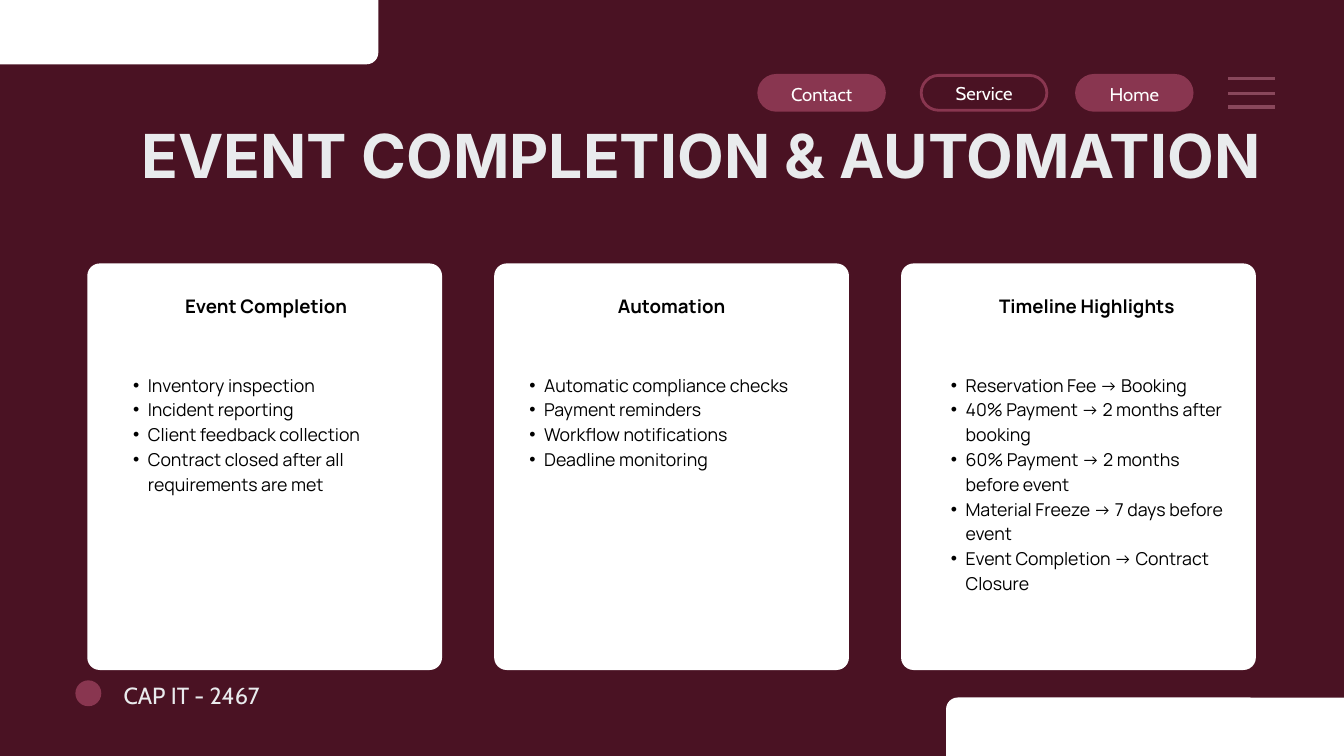
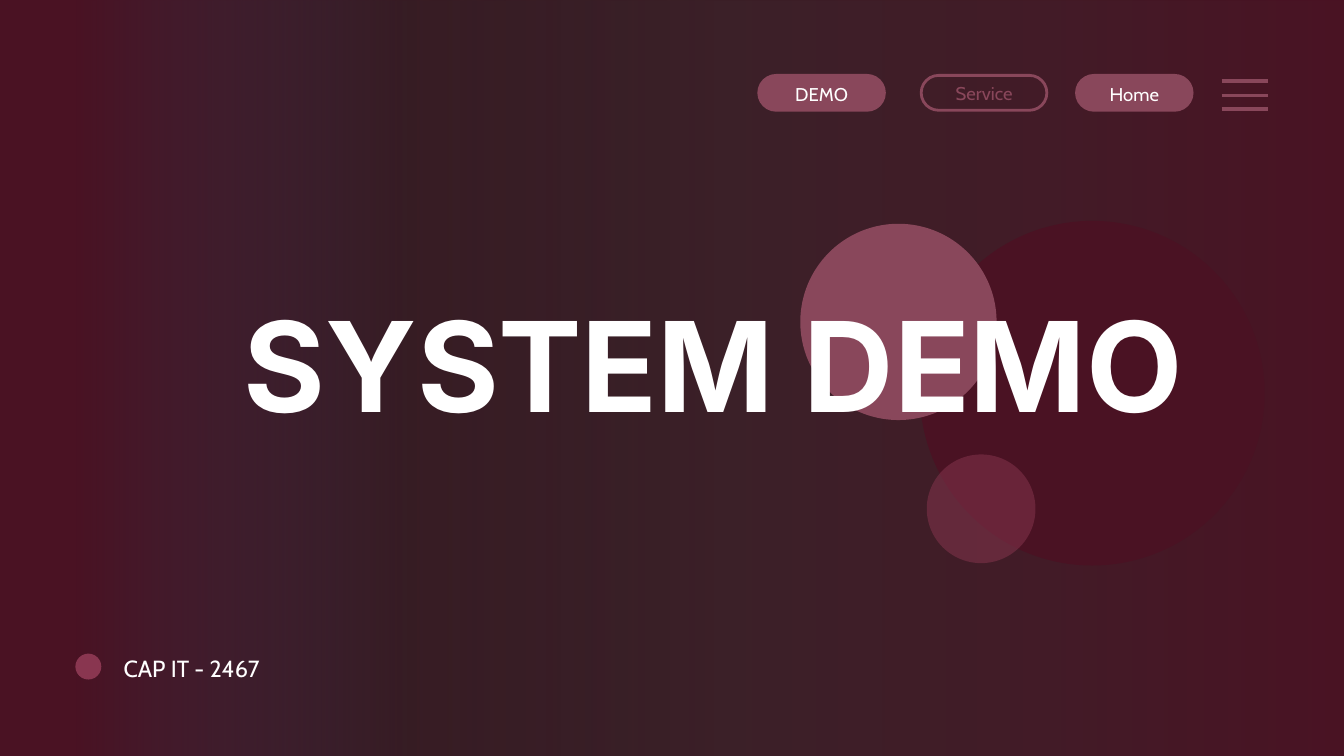
"""Build the event completion and system demo slides."""
import dataclasses

import lxml.etree
import pptx
import pptx.dml.color
import pptx.enum.shapes
import pptx.enum.text
import pptx.oxml
import pptx.oxml.ns
import pptx.util

Cm = pptx.util.Cm
SHAPES = pptx.enum.shapes.MSO_SHAPE
ALIGN = pptx.enum.text.PP_ALIGN
qn = pptx.oxml.ns.qn


@dataclasses.dataclass(frozen=True)
class Theme:
    wine: str = "4A1223"
    berry: str = "893650"
    rose: str = "89475B"
    white: str = "FFFFFF"
    mist: str = "E9EBED"
    black: str = "000000"
    gradient: tuple = ((0, "283E51", 0), (25, "321F25", 78), (50, "3B2028", 100),
                       (75, "421B27", 100), (100, "4A1223", 100))
    title_font: str = "Inter"
    body_font: str = "Manrope"
    nav_font: str = "Cabin"
    title_size: float = 65
    hero_size: float = 134.1
    footer_size: float = 25
    heading_size: float = 20
    nav_size: float = 19.8
    bullet_size: float = 19


NAV_PILLS = ((40.69, 4.37, 0.28, 3.0), (34.82, 4.75, 0.26, 2.95), (28.68, 4.75, 0.4, 3.0))
BAR_OFFSETS = (0, 0.56, 1.07)
CARD_LEFT, CARD_STEP = 3.3, 15.38
CARDS = (
    ("Event Completion", (5.69, 8.74), (4.45, 11.23, 5.59),
     "Inventory inspection\nIncident reporting\nClient feedback collection\n"
     "Contract closed after all requirements are met"),
    ("Automation", (19.63, 11.51), (19.43, 11.94, 4.65),
     "Automatic compliance checks\nPayment reminders\nWorkflow notifications\n"
     "Deadline monitoring"),
    ("Timeline Highlights", (35.76, 10.64), (35.36, 11.23, 9.3),
     "Reservation Fee → Booking\n40% Payment → 2 months after booking\n"
     "60% Payment → 2 months before event\nMaterial Freeze → 7 days before event\n"
     "Event Completion → Contract Closure"),
)


def rgb(color):
    return pptx.dml.color.RGBColor.from_string(color)


def add_child(parent, tag, **attributes):
    return lxml.etree.SubElement(parent, qn(tag), attributes)


def set_bullet(paragraph):
    paragraph.level = 1
    properties = paragraph._p.get_or_add_pPr()
    properties.set("marL", str(Cm(1.14)))
    properties.set("indent", str(Cm(-0.56)))
    add_child(properties, "a:buFont", typeface="Arial")
    add_child(properties, "a:buChar", char="•")


def write_text(frame, text, font, size, color, spacing, bold=False,
               align=ALIGN.LEFT, bullets=False):
    for index, line in enumerate(text.split("\n")):
        paragraph = frame.paragraphs[0] if index == 0 else frame.add_paragraph()
        if bullets:
            set_bullet(paragraph)
        paragraph.alignment = align
        paragraph.line_spacing = pptx.util.Pt(spacing)
        run = paragraph.add_run()
        run.text = line
        run.font.name = font
        run.font.size = pptx.util.Pt(size)
        run.font.bold = bold
        run.font.color.rgb = rgb(color)


class Deck:
    """Hold the theme and the current slide, and draw each kind of element."""

    def __init__(self, theme):
        self.theme = theme
        self.presentation = pptx.Presentation()
        self.presentation.slide_width = Cm(50.8)
        self.presentation.slide_height = Cm(28.58)
        self.slide = None

    def new_slide(self):
        self.slide = self.presentation.slides.add_slide(self.presentation.slide_layouts[6])
        background = self.slide.background.fill
        background.solid()
        background.fore_color.rgb = rgb(self.theme.wine)

    def shape(self, kind, box, fill=None, line=None, radius=None, opacity=100):
        shape = self.slide.shapes.add_shape(kind, *map(Cm, box))
        shape.shadow.inherit = False
        if radius is not None:
            shape.adjustments[0] = radius / min(box[2:])
        if fill:
            shape.fill.solid()
            shape.fill.fore_color.rgb = rgb(fill)
            if opacity < 100:
                color = shape.fill._xPr.find(qn("a:solidFill"))[0]
                add_child(color, "a:alpha", val=str(opacity * 1000))
        else:
            shape.fill.background()
        if line:
            shape.line.color.rgb = rgb(line)
            shape.line.width = pptx.util.Pt(3)
        else:
            shape.line.fill.background()
        return shape

    def panel(self, box, radius, fill=None, line=None):
        self.shape(SHAPES.ROUNDED_RECTANGLE, box, fill, line, radius)

    def circle(self, left, top, diameter, fill, opacity=100):
        self.shape(SHAPES.OVAL, (left, top, diameter, diameter), fill, opacity=opacity)

    def gradient(self, box):
        shape = self.shape(SHAPES.RECTANGLE, box)
        shape.fill.gradient()
        shape.fill.gradient_angle = 0
        stops = shape.fill._xPr.find(qn("a:gradFill")).find(qn("a:gsLst"))
        for stop in list(stops):
            stops.remove(stop)
        for position, color, opacity in self.theme.gradient:
            stop = add_child(stops, "a:gs", pos=str(position * 1000))
            tint = add_child(stop, "a:srgbClr", val=color)
            if opacity < 100:
                add_child(tint, "a:alpha", val=str(opacity * 1000))

    def text(self, text, box, **style):
        frame = self.slide.shapes.add_textbox(*map(Cm, box)).text_frame
        frame.margin_left = frame.margin_right = frame.margin_top = frame.margin_bottom = 0
        frame.word_wrap = True
        frame.auto_size = pptx.enum.text.MSO_AUTO_SIZE.SHAPE_TO_FIT_TEXT
        write_text(frame, text, **style)

    def bar(self, left, top, width):
        connector = self.slide.shapes.add_connector(
            pptx.enum.shapes.MSO_CONNECTOR.STRAIGHT,
            Cm(left), Cm(top), Cm(left + width), Cm(top))
        connector.line.color.rgb = rgb(self.theme.rose)
        connector.line.width = pptx.util.Pt(4)
        add_child(connector._element.spPr, "a:effectLst")

    def navigation(self, labels, active, color, active_color, menu):
        for label, (left, width, inset, text_top) in zip(labels, NAV_PILLS):
            is_active = label == active
            self.panel((left, 2.85, width, 1.32), 0.66, None if is_active else color, color)
            self.text(label, (left + inset, text_top, width - 2 * inset, 0.94),
                      font=self.theme.nav_font, size=self.theme.nav_size, spacing=27.8,
                      color=active_color if is_active else self.theme.white,
                      align=ALIGN.CENTER)
        left, top = menu
        for offset in BAR_OFFSETS:
            self.bar(left, top + offset, 1.76)

    def footer(self, top, color):
        self.circle(2.85, top + 0.14, 0.98, self.theme.berry)
        self.text("CAP IT - 2467", (4.67, top, 13.11, 1.17), font=self.theme.nav_font,
                  size=self.theme.footer_size, color=color, spacing=35)

    def title(self, text, box, size, color, spacing, align):
        self.text(text, box, font=self.theme.title_font, size=size, color=color,
                  spacing=spacing, align=align, bold=True)

    def card(self, index, heading, heading_span, list_span, items):
        self.panel((CARD_LEFT + index * CARD_STEP, 9.96, 13.41, 15.37), 0.47, self.theme.white)
        left, width = heading_span
        self.text(heading, (left, 11.02, width, 1.02), font=self.theme.body_font,
                  size=self.theme.heading_size, color=self.theme.black, spacing=28,
                  bold=True, align=ALIGN.CENTER)
        left, width, height = list_span
        self.text(items, (left, 14.02, width, height), font=self.theme.body_font,
                  size=self.theme.bullet_size, color=self.theme.black, spacing=26.6,
                  bullets=True)


def build_completion(deck):
    theme = deck.theme
    deck.new_slide()
    deck.navigation(("Home", "Service", "Contact"), "Service", theme.berry, theme.white,
                    (46.43, 2.97))
    deck.title("EVENT COMPLETION & AUTOMATION", (2.85, 4.9, 47.35, 2.39),
               theme.title_size, theme.mist, 65, ALIGN.CENTER)
    for index, card in enumerate(CARDS):
        deck.card(index, *card)
    for left, top in ((35.76, 26.37), (-12.32, -4.26)):
        deck.panel((left, top, 26.62, 6.69), 0.44, theme.white)
    deck.footer(25.58, theme.mist)


def build_demo(deck):
    theme = deck.theme
    deck.new_slide()
    deck.gradient((2.85, 0, 48.8, 29.67))
    deck.circle(34.77, 8.35, 13.03, theme.wine)
    deck.circle(30.25, 8.46, 7.42, theme.rose)
    deck.circle(35.03, 17.18, 4.11, theme.berry, opacity=50)
    deck.navigation(("Home", "Service", "DEMO"), "Service", theme.rose, theme.rose,
                    (46.17, 3.05))
    deck.footer(24.57, theme.white)
    deck.title("SYSTEM DEMO", (8.28, 9.91, 36.47, 6.4),
               theme.hero_size, theme.white, 187.7, ALIGN.RIGHT)


def main():
    deck = Deck(Theme())
    build_completion(deck)
    build_demo(deck)
    deck.presentation.save("out.pptx")


if __name__ == "__main__":
    main()
